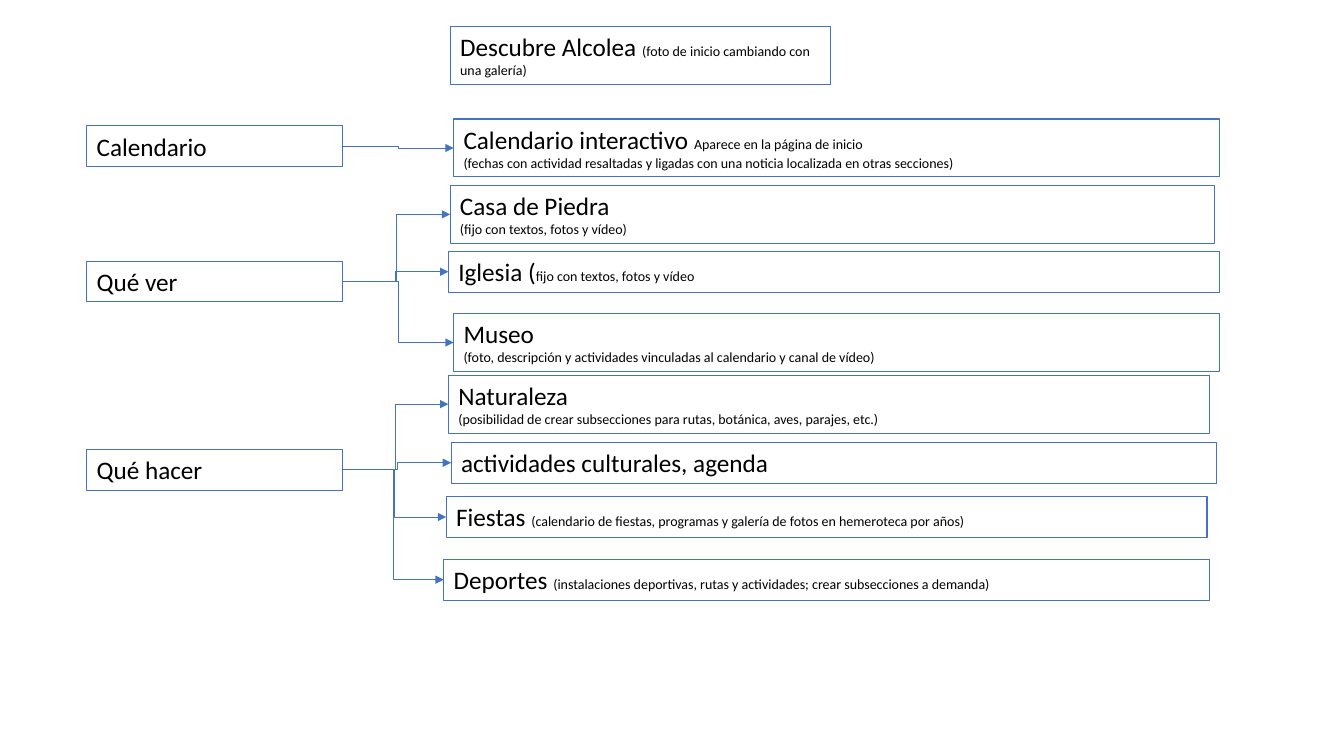
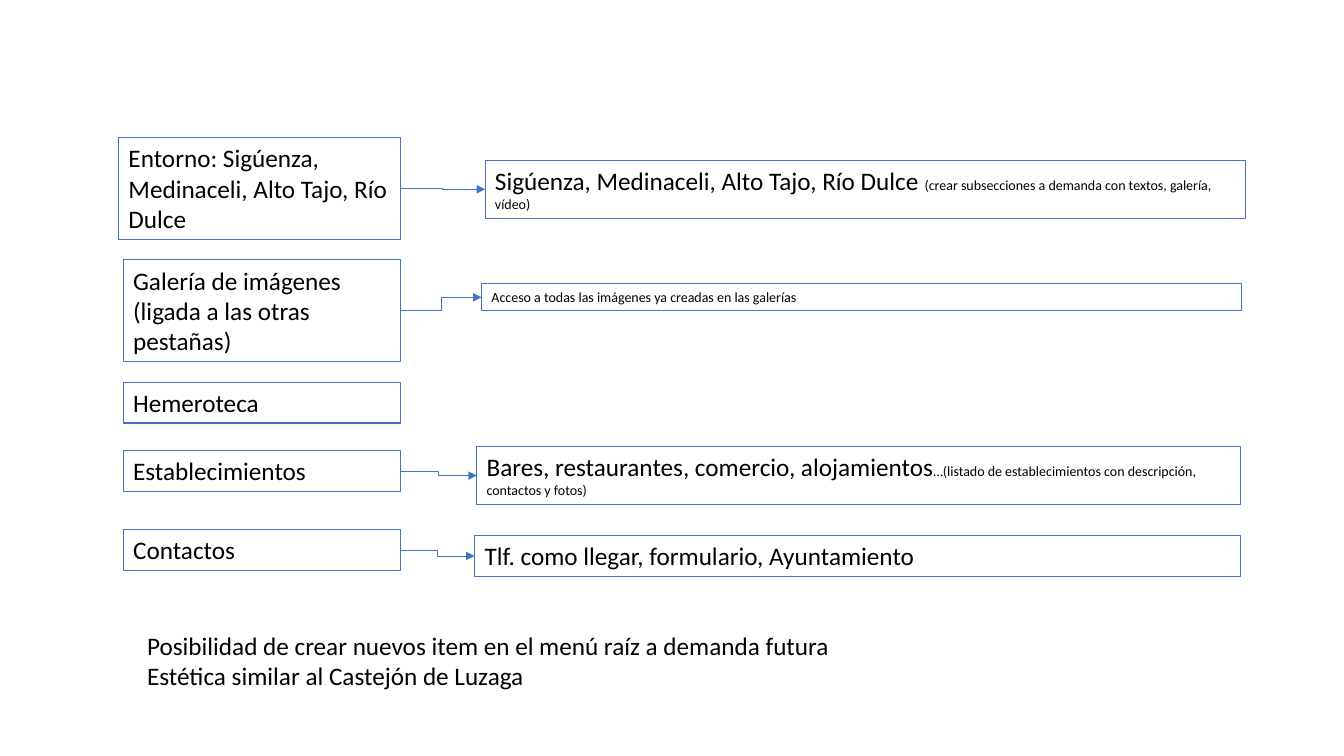
from dataclasses import dataclass

from lxml.etree import SubElement
from pptx import Presentation
from pptx.dml.color import RGBColor
from pptx.enum.shapes import MSO_CONNECTOR, MSO_SHAPE
from pptx.enum.text import MSO_ANCHOR, MSO_AUTO_SIZE, PP_ALIGN
from pptx.oxml.ns import qn
from pptx.shapes.autoshape import Shape
from pptx.shapes.connector import Connector
from pptx.slide import Slide
from pptx.util import Pt

BLUE = RGBColor(0x44, 0x72, 0xC4)
BLACK = RGBColor(0, 0, 0)
FONT = "Calibri"
HEADING, NOTE = 18, 10  # text sizes

# Box heights, by the lines they hold
NOTE_H, HEADING_H, HEADING_NOTE_H, THREE_HEADINGS_H = 19.4, 29.2, 41.4, 72.7

TITLE_ONLY, BLANK = 5, 6  # layouts
LEFT_SITE, RIGHT_SITE = 1, 3  # connection sites of a rectangle


@dataclass(frozen=True)
class Run:
    text: str
    size: float = HEADING


Paragraphs = list[list[Run]]


@dataclass(frozen=True)
class Box:
    left: float
    top: float
    width: float
    height: float
    paragraphs: Paragraphs


@dataclass(frozen=True)
class Section:
    menu: Box
    pages: list[Box]


def inline(heading: str, note: str = "") -> Paragraphs:
    """A heading with an optional note on the same line."""
    return [[Run(heading)] + ([Run(note, NOTE)] if note else [])]


def stacked(heading: str, note: str) -> Paragraphs:
    """A heading with a note below it."""
    return [[Run(heading)], [Run(note, NOTE)]]


TITLE = Box(321.5, 19, 271.5, HEADING_NOTE_H, inline(
    "Descubre Alcolea ", "(foto de inicio cambiando con una galería)"))

HOME_SECTIONS = [
    Section(Box(62, 90, 183, HEADING_H, inline("Calendario")), [
        Box(324, 85, 547, HEADING_NOTE_H, [
            [Run("Calendario interactivo "),
             Run("Aparece en la página de inicio", NOTE)],
            [Run("(fechas con actividad resaltadas y ligadas con una noticia "
                 "localizada en otras secciones)", NOTE)]]),
    ]),
    Section(Box(62, 186.5, 183, HEADING_H, inline("Qué ver")), [
        Box(321.5, 132.5, 546, HEADING_NOTE_H, stacked(
            "Casa de Piedra", "(fijo con textos, fotos y vídeo)")),
        Box(320.3, 179.5, 551, HEADING_H, inline(
            "Iglesia (", "fijo con textos, fotos y vídeo")),
        Box(324, 224, 547, HEADING_NOTE_H, stacked(
            "Museo", "(foto, descripción y actividades vinculadas al "
            "calendario y canal de vídeo)")),
    ]),
    Section(Box(62, 321, 183, HEADING_H, inline("Qué hacer")), [
        Box(320.3, 268, 543.5, HEADING_NOTE_H, stacked(
            "Naturaleza", "(posibilidad de crear subsecciones para rutas, "
            "botánica, aves, parajes, etc.)")),
        Box(322.2, 316, 547, HEADING_H, inline(
            "actividades culturales, agenda")),
        Box(318.7, 354.7, 543.5, HEADING_H, inline(
            "Fiestas ", "(calendario de fiestas, programas y galería de fotos "
            "en hemeroteca por años)")),
        Box(317, 399.5, 547, HEADING_H, inline(
            "Deportes ", "(instalaciones deportivas, rutas y actividades; "
            "crear subsecciones a demanda)")),
    ]),
]

MORE_SECTIONS = [
    Section(Box(84.7, 98.3, 201.3, THREE_HEADINGS_H, inline(
        "Entorno: Sigúenza, Medinaceli, Alto Tajo, Río Dulce")), [
        Box(346.5, 114.5, 543, HEADING_NOTE_H, inline(
            "Sigúenza, Medinaceli, Alto Tajo, Río Dulce ",
            "(crear subsecciones a demanda con textos, galería, vídeo)")),
    ]),
    Section(Box(88, 185.7, 198, THREE_HEADINGS_H, inline(
        "Galería de imágenes (ligada a las otras pestañas)")), [
        Box(344, 202.7, 543, NOTE_H, [[Run(
            "Acceso a todas las imágenes ya creadas en las galerías", NOTE)]]),
    ]),
    Section(Box(88, 273, 198, HEADING_H, inline("Hemeroteca")), []),
    Section(Box(88, 322, 198, HEADING_H, inline("Establecimientos")), [
        Box(340.5, 319, 545.7, HEADING_NOTE_H, inline(
            "Bares, restaurantes, comercio, alojamientos",
            "…(listado de establecimientos con descripción, contactos y "
            "fotos)")),
    ]),
    Section(Box(88, 378.2, 198, HEADING_H, inline("Contactos")), [
        Box(339, 382.5, 547, HEADING_H, inline(
            "Tlf. como llegar, formulario, Ayuntamiento")),
    ]),
]

REMARKS = Box(98, 446.5, 795, 51, [
    [Run("Posibilidad de crear nuevos item en el menú raíz a demanda futura")],
    [Run("Estética similar al Castejón de Luzaga")]])


def bounds(box: Box) -> tuple[Pt, Pt, Pt, Pt]:
    return Pt(box.left), Pt(box.top), Pt(box.width), Pt(box.height)


def write(sp: Shape, paragraphs: Paragraphs, *,
          auto_size: MSO_AUTO_SIZE = MSO_AUTO_SIZE.SHAPE_TO_FIT_TEXT) -> None:
    tf = sp.text_frame
    tf.word_wrap = True
    tf.auto_size = auto_size
    tf.vertical_anchor = MSO_ANCHOR.TOP
    for i, runs in enumerate(paragraphs):
        p = tf.add_paragraph() if i else tf.paragraphs[0]
        p.alignment = PP_ALIGN.LEFT
        for run in runs:
            r = p.add_run()
            r.text = run.text
            r.font.name = FONT
            r.font.size = Pt(run.size)
            r.font.color.rgb = BLACK


def outline(sp: Shape) -> None:
    sp.fill.background()
    sp.line.color.rgb = BLUE
    sp.line.width = Pt(0.75)


def add_box(slide: Slide, box: Box) -> Shape:
    sp = slide.shapes.add_shape(MSO_SHAPE.RECTANGLE, *bounds(box))
    sp.shadow.inherit = False
    outline(sp)
    write(sp, box.paragraphs)
    return sp


def add_arrow(slide: Slide, menu: Shape, page: Shape) -> Connector:
    c = slide.shapes.add_connector(
        MSO_CONNECTOR.ELBOW,
        menu.left + menu.width, menu.top + menu.height // 2,
        page.left, page.top + page.height // 2)
    c.begin_connect(menu, RIGHT_SITE)
    c.end_connect(page, LEFT_SITE)
    c.line.color.rgb = BLUE
    c.line.width = Pt(0.5)
    # Arrowhead, and no shadow
    sp_pr = c.element.spPr
    SubElement(sp_pr.find(qn("a:ln")), qn("a:tailEnd"), type="triangle")
    SubElement(sp_pr, qn("a:effectLst"))
    return c


def add_sections(slide: Slide, sections: list[Section]) -> None:
    for section in sections:
        menu = add_box(slide, section.menu)
        for box in section.pages:
            add_arrow(slide, menu, add_box(slide, box))


def add_title(slide: Slide, box: Box) -> None:
    sp = slide.shapes.title
    sp.left, sp.top, sp.width, sp.height = bounds(box)
    outline(sp)
    # A title that grows would keep the layout's height
    write(sp, box.paragraphs, auto_size=MSO_AUTO_SIZE.NONE)


def main() -> None:
    prs = Presentation()
    prs.slide_width, prs.slide_height = Pt(960), Pt(540)

    # Home page and its first menu sections
    slide = prs.slides.add_slide(prs.slide_layouts[TITLE_ONLY])
    add_title(slide, TITLE)
    add_sections(slide, HOME_SECTIONS)

    # Remaining menu sections and closing remarks
    slide = prs.slides.add_slide(prs.slide_layouts[BLANK])
    add_sections(slide, MORE_SECTIONS)
    write(slide.shapes.add_textbox(*bounds(REMARKS)), REMARKS.paragraphs)

    prs.save("out.pptx")


if __name__ == "__main__":
    main()
